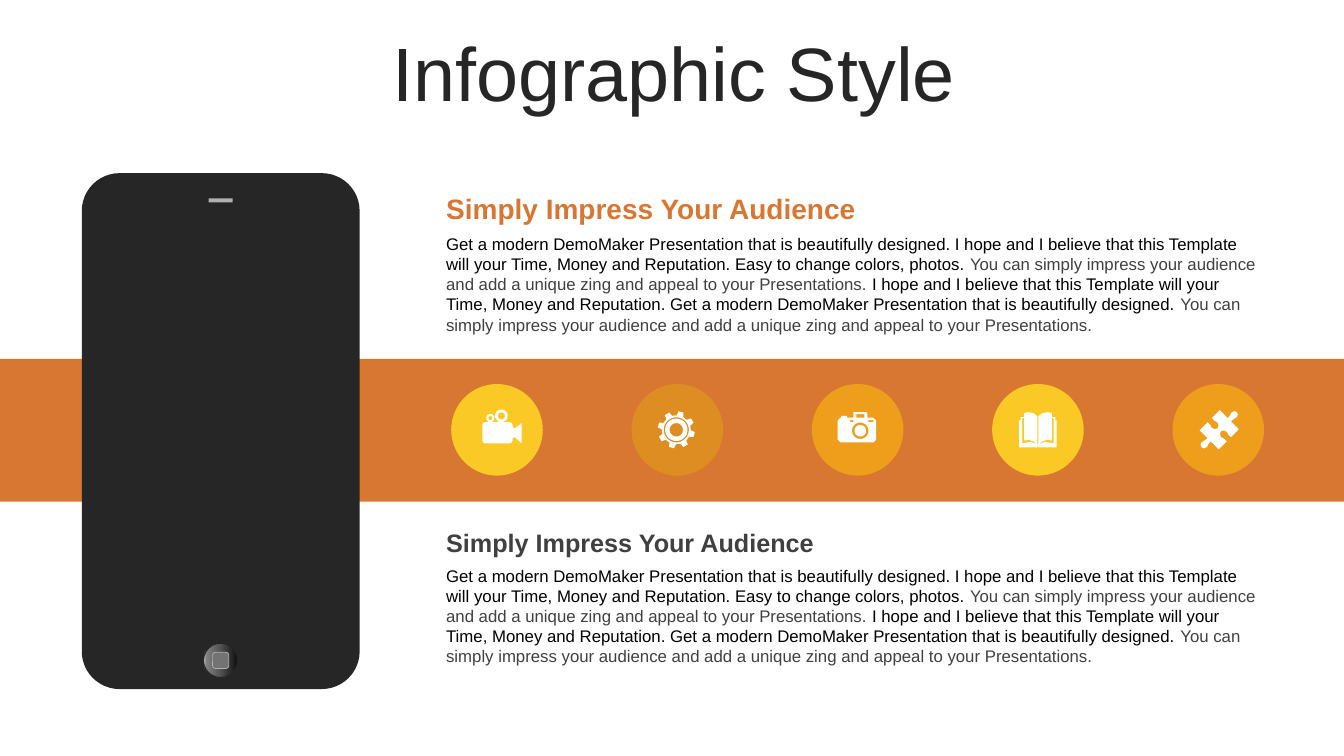
from math import cos, pi, radians, sin

from lxml.etree import SubElement
from pptx import Presentation
from pptx.dml.color import RGBColor
from pptx.enum.shapes import MSO_SHAPE
from pptx.enum.text import MSO_ANCHOR, PP_ALIGN
from pptx.oxml.ns import qn
from pptx.util import Pt

COLORS = {
    "white": "FFFFFF", "black": "000000", "body": "262626", "grey": "404040",
    "orange": "D87732", "yellow": "FAC926", "ochre": "DE8D22", "amber": "EF9E1B",
    "silver": "B0B0B0", "key": "737373",
}

presentation = Presentation()
presentation.slide_width = Pt(960)
presentation.slide_height = Pt(540)
slide = presentation.slides.add_slide(presentation.slide_layouts[6])


def add_part(kind, left, top, width, height, color):
    part = slide.shapes.add_shape(kind, Pt(left), Pt(top), Pt(width), Pt(height))
    part.shadow.inherit = False
    part.fill.solid()
    part.fill.fore_color.rgb = RGBColor.from_string(COLORS[color])
    part.line.fill.background()
    return part


def add_text(left, top, width, height, size, runs, bold=False):
    frame = slide.shapes.add_textbox(Pt(left), Pt(top), Pt(width), Pt(height)).text_frame
    frame.word_wrap = True
    for words, color in runs:
        run = frame.paragraphs[0].add_run()
        run.text = words
        run.font.name = "Arial"
        run.font.size = Pt(size)
        run.font.bold = bold
        run.font.color.rgb = RGBColor.from_string(COLORS[color])
    return frame


add_part(MSO_SHAPE.RECTANGLE, 0, 256.3, 960, 102, "orange")
phone = add_part(MSO_SHAPE.ROUNDED_RECTANGLE, 58.4, 123.7, 198.5, 368.5, "body")
phone.adjustments[0] = 0.136
add_part(MSO_SHAPE.RECTANGLE, 149, 141.8, 17.3, 2.9, "silver")

home = add_part(MSO_SHAPE.OVAL, 145.4, 459.5, 24.5, 24.5, "body")
home.fill.gradient()
home.fill.gradient_angle = 180
stops = home.fill._fill._gradFill.find(qn("a:gsLst"))
stops.clear()
for percent, shade in [(0, "0F0F0F"), (56, "595959"), (91, "808080"), (100, "BFBFBF")]:
    stop = SubElement(stops, qn("a:gs"), pos=str(percent * 1000))
    SubElement(stop, qn("a:srgbClr"), val=shade)
home.line.color.rgb = RGBColor.from_string(COLORS["body"])
home.line.width = Pt(0)

home_key = add_part(MSO_SHAPE.ROUNDED_RECTANGLE, 151.9, 466, 11.5, 11.5, "key")
home_key.line.color.rgb = RGBColor.from_string(COLORS["silver"])
home_key.line.width = Pt(0.5)

title = add_text(25.5, 26.6, 911.5, 56.9, 54, [("Infographic Style", "body")])
title.vertical_anchor = MSO_ANCHOR.MIDDLE
title.paragraphs[0].alignment = PP_ALIGN.CENTER
title.paragraphs[0].line_spacing = 0.9

heading = "Simply Impress Your Audience"
modern = "Get a modern DemoMaker Presentation that is beautifully designed. "
hope = "I hope and I believe that this Template will your Time, Money and Reputation. "
impress = ("You can simply impress your audience and add a unique zing "
           "and appeal to your Presentations.")
pitch = [
    (modern + hope + "Easy to change colors, photos. ", "black"),
    (impress + " ", "grey"),
    (hope + modern, "black"),
    (impress, "grey"),
]
for heading_top, pitch_top, size, color in [(133.2, 163.4, 20, "orange"),
                                            (373, 400.3, 18, "grey")]:
    add_text(311.6, heading_top, 597.6, 30, size, [(heading, color)], bold=True)
    add_text(311.6, pitch_top, 597.6, 80, 12, pitch)

rings = {
    "video": [(-4.7, -8.4, 2.9), (-4.7, -8.4, 1.4), (3.2, -9.9, 4.5), (3.2, -9.9, 2.5)],
    "gear": [(-0.7, 0, 9), (-0.7, 0, 8), (-0.7, 0, 4.8)],
    "camera": [(1.9, 0.7, 5.9), (1.9, 0.7, 4.1)],
    "book": [],
    "puzzle": [],
}

teeth = []
for tooth in range(8):
    for radius, turn in [(10.4, -13), (13.3, -8), (13.3, 8), (10.4, 13)]:
        angle = radians(15 + 45 * tooth + turn)
        teeth.append((radius * cos(angle) - 0.7, radius * sin(angle)))

half_book = [(-13.4, 12.6), (-13.4, -6.8), (-12.4, -6.8), (-12.4, -9), (-9.9, -9),
             (-9.9, -11.9), (-8.2, -12.4), (-6.5, -12.6), (-3, -11.8), (-0.4, -9.7),
             (-0.4, 10.4)]
page_edge = [(-11.3, -8.3), (-9.9, -8.3), (-9.9, 7.6), (-6, 7.2), (-3, 8.4),
             (-0.7, 10.4), (-5, 8.6), (-11.3, 9.7)]
half_puzzle = [(12.6, -12.6), (13.3, -10.8), (12.6, -9), (10.8, -7.9), (8.3, -6.1),
               (14, -0.4), (8.3, 5.4), (6.5, 3.6), (5.4, 1.4), (3.2, 0.5), (1.1, 1.1),
               (0.5, 3.2), (1.4, 5.4), (3.6, 6.5), (5.4, 8.3), (-0.4, 14), (-6.1, 8.3),
               (-7.6, 10), (-8.6, 12.2), (-10.8, 13.3)]

outlines = {
    "video": [[(-8.4, -5.4), (9.2, -5.4), (10.6, -4.8), (11.2, -3.4), (11.2, -1.8),
               (12.7, -1), (17.6, -4.7), (17.6, 9.7), (12.7, 5.4), (11.2, 6),
               (11.2, 7.7), (10.6, 9.1), (9.2, 9.7), (-8.4, 9.7), (-9.8, 9.1),
               (-10.4, 7.7), (-10.4, -3.4), (-9.8, -4.8)]],
    "gear": [teeth],
    "camera": [
        [(-12.3, -8.6), (-11.7, -8.6), (-11.7, -9.9), (-7.4, -9.9), (-7.4, -8.6),
         (-3.1, -8.6), (-3.1, -12), (-2.5, -12.6), (6.4, -12.6), (7, -12), (7, -8.6),
         (11.3, -8.6), (13.2, -6.7), (13.2, 7.1), (11.3, 9), (-12.3, 9),
         (-14.2, 7.1), (-14.2, -6.7)],
        [(-0.9, -11.2), (4.8, -11.2), (4.8, -8.6), (-0.9, -8.6)],
        [(-5.3, -6.8), (-3.1, -6.8), (-3.1, -5.4), (-5.3, -5.4)],
        [(7.7, -6.8), (11.3, -6.8), (11.3, -5.4), (7.7, -5.4)],
    ],
    "book": [half_book + [(-x, y) for x, y in reversed(half_book)],
             page_edge, [(-x, y) for x, y in page_edge]],
    "puzzle": [[(sign * x + 0.7, sign * y) for sign in (1, -1) for x, y in half_puzzle]],
}

disc = 65.4
discs = [("video", "yellow"), ("gear", "ochre"), ("camera", "amber"),
         ("book", "yellow"), ("puzzle", "amber")]
units = 100
for index, (icon, color) in enumerate(discs):
    center_x, center_y = 355 + 128.8 * index, 307
    add_part(MSO_SHAPE.OVAL, center_x - disc / 2, center_y - disc / 2, disc, disc, color)
    contours = outlines[icon] + [
        [(x + r * cos(step * pi / 16), y + r * sin(step * pi / 16)) for step in range(32)]
        for x, y, r in rings[icon]]
    builder = None
    for contour in contours:
        points = [((center_x + x) * units, (center_y + y) * units) for x, y in contour]
        if builder is None:
            builder = slide.shapes.build_freeform(*points[0], scale=Pt(1) / units)
        else:
            builder.move_to(*points[0])
        builder.add_line_segments(points[1:], close=True)
    symbol = builder.convert_to_shape()
    symbol.shadow.inherit = False
    symbol.fill.solid()
    symbol.fill.fore_color.rgb = RGBColor.from_string(COLORS["white"])
    symbol.line.fill.background()

presentation.save("out.pptx")
